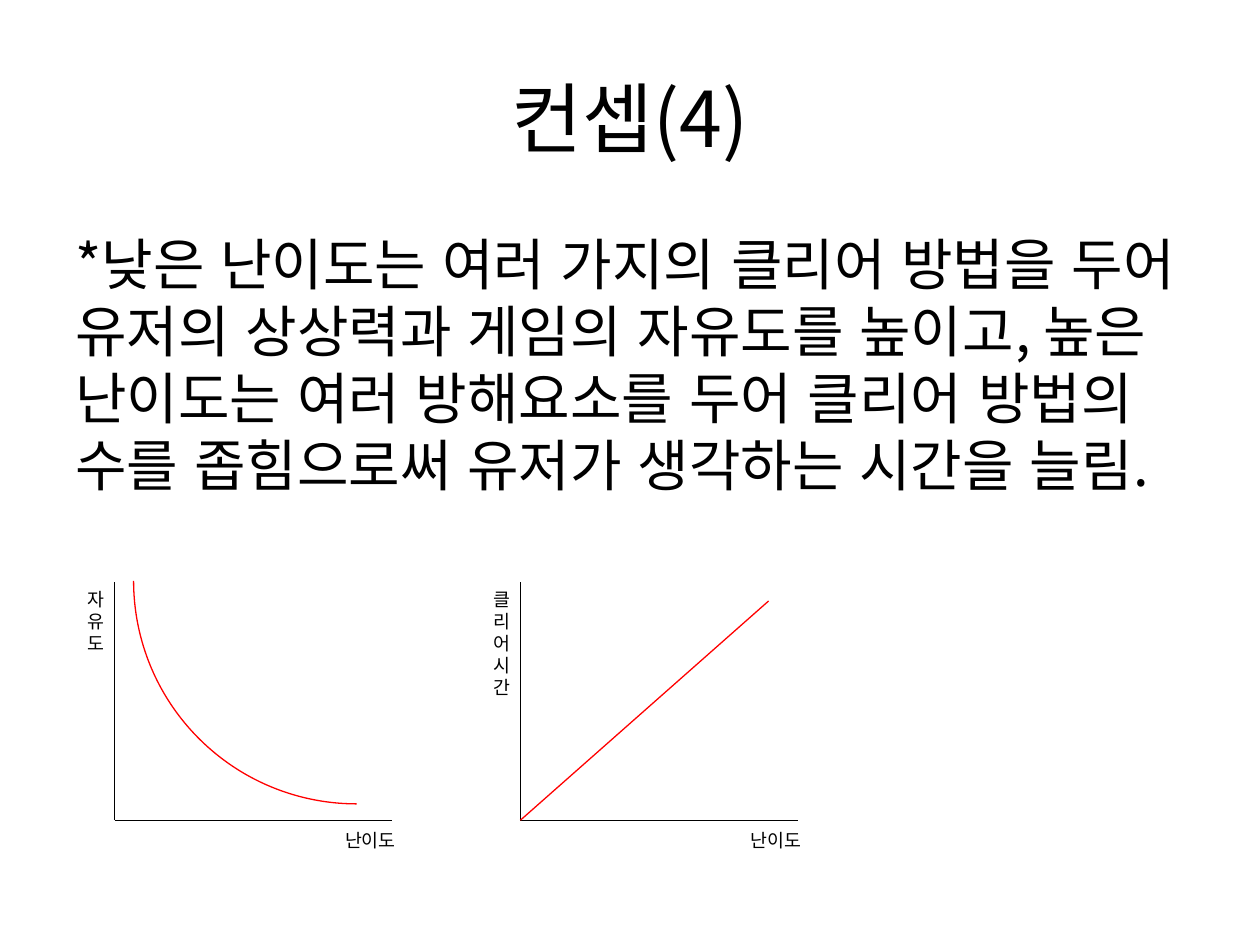
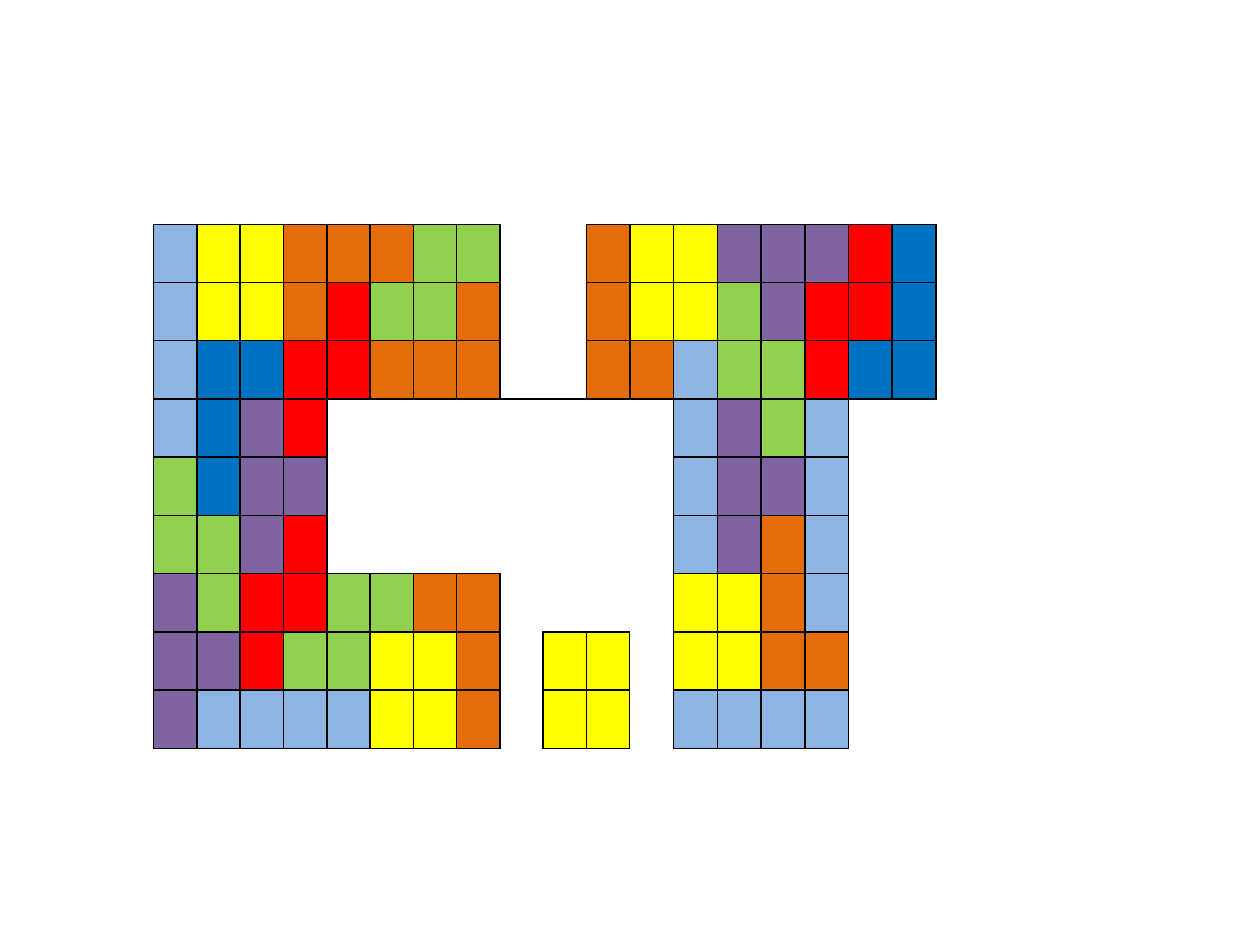
from lxml.etree import SubElement
from pptx import Presentation
from pptx.dml.color import RGBColor
from pptx.enum.lang import MSO_LANGUAGE_ID as LANG
from pptx.enum.shapes import MSO_CONNECTOR, MSO_SHAPE
from pptx.enum.text import MSO_ANCHOR, PP_ALIGN
from pptx.oxml import parse_xml
from pptx.oxml.ns import nsdecls, qn
from pptx.util import Inches, Pt

FONT = "Noto Sans CJK KR"
BLACK, RED, WHITE = "000000", "FF0000", "FFFFFF"
COLS, ROWS = 100, 75  # slide grid
BLOCKS = {"S": "8EB4E3", "Y": "FFFF00", "O": "E46C0A", "G": "92D050",
          "R": RED, "B": "0070C0", "P": "8064A2", ".": WHITE}


def rgb(value):
    return RGBColor.from_string(value)


class Deck:
    """Holds the style and the current slide; lengths are grid units."""

    def __init__(self):
        self.prs = Presentation()
        self.prs.slide_width, self.prs.slide_height = Inches(10), Inches(7.5)
        self.slide = None

    def new_slide(self):
        self.slide = self.prs.slides.add_slide(self.prs.slide_layouts[6])

    def place(self, x, y, w, h):
        dx, dy = self.prs.slide_width / COLS, self.prs.slide_height / ROWS
        return int(x * dx), int(y * dy), int(w * dx), int(h * dy)

    def text(self, box, words, size, align=PP_ALIGN.LEFT,
             anchor=MSO_ANCHOR.TOP, spacing=None):
        tf = self.slide.shapes.add_textbox(*self.place(*box)).text_frame
        tf.word_wrap, tf.vertical_anchor = True, anchor
        p = tf.paragraphs[0]
        p.alignment, p.line_spacing = align, spacing
        p.font.size, p.font.name = Pt(size), FONT
        p.font.color.rgb = rgb(BLACK)
        # Hangul takes the East Asian typeface
        SubElement(p._p.pPr.find(qn("a:defRPr")), qn("a:ea"), typeface=FONT)
        r = p.add_run()
        r.text, r.font.language_id = words, LANG.KOREAN

    def line(self, x1, y1, x2, y2, color=BLACK):
        ends = self.place(x1, y1, x2, y2)
        sp = self.slide.shapes.add_connector(MSO_CONNECTOR.STRAIGHT, *ends)
        sp.line.color.rgb, sp.line.width = rgb(color), Pt(0.75)
        SubElement(sp._element.spPr, qn("a:effectLst"))

    def arc(self, box, color, rotation):
        sp = self.slide.shapes.add_shape(MSO_SHAPE.ARC, *self.place(*box))
        sp.rotation, sp.shadow.inherit = rotation, False
        sp.fill.background()
        sp.line.color.rgb, sp.line.width = rgb(color), Pt(0.75)

    def axes(self, x, y_label, label_height):
        top, base = 46.2, 65.1
        self.line(x, top, x, base)
        self.line(x, base, x + 22, base)
        self.text((x + 17.3, base + 0.2, 8.7, 2.9), "난이도", 10.5)
        self.text((x - 3.15, top, 3.1, label_height), y_label, 10.5)

    def borders(self, cell, sides):
        """Draw the named sides of a cell and clear the others."""
        tcPr = cell._tc.get_or_add_tcPr()
        for i, side in enumerate("LRTB"):
            paint = (f'<a:solidFill><a:srgbClr val="{BLACK}"/></a:solidFill>'
                     if side in sides else "<a:noFill/>")
            tcPr.insert(i, parse_xml(
                f'<a:ln{side} {nsdecls("a")} w="12700">{paint}</a:ln{side}>'))

    def mosaic(self, box, pattern, merges, seam=()):
        """Table of colour letters; merges are (row, col, rows, cols)."""
        rows = pattern.split()
        n, m = len(rows), len(rows[0])
        x, y, w, h = self.place(*box)
        table = self.slide.shapes.add_table(n, m, x, y, w, h).table
        table.first_row = table.horz_banding = False

        def filled(r, c):
            return 0 <= r < n and 0 <= c < m and rows[r][c] != "."

        for r in range(n):
            table.rows[r].height = h // n
            for c in range(m):
                table.columns[c].width = w // m
                cell = table.cell(r, c)
                cell.fill.solid()
                cell.fill.fore_color.rgb = rgb(BLOCKS[rows[r][c]])
                near = {"L": (r, c - 1), "R": (r, c + 1),
                        "T": (r - 1, c), "B": (r + 1, c)}
                sides = [s for s, at in near.items()
                         if filled(r, c) or filled(*at)]
                if (r, c) in seam:
                    sides.append("T")
                self.borders(cell, sides)
        for r, c, tall, wide in merges:
            table.cell(r, c).merge(table.cell(r + tall - 1, c + wide - 1))


LEFT_BLOCKS = """
SYYOOOGG..O
SYYORGGO..O
SBBRROOO..O
SBPR.......
GBPP.......
GGPR.......
PGRRGGOO...
PPRGGYYO.YY
PSSSSYYO.YY
"""
RIGHT_BLOCKS = """
YYPPPRB
YYGPRRB
OSGGRBB
.SPGS..
.SPPS..
.SPOS..
.YYOS..
.YYOO..
.SSSS..
"""


def main():
    deck = Deck()

    # Concept: text and two graphs
    deck.new_slide()
    deck.text((5, 3, 90, 12.5), "컨셉(4)", 44, PP_ALIGN.CENTER,
              MSO_ANCHOR.MIDDLE)
    deck.text((5, 17.7, 90, 49.5),
              "*낮은 난이도는 여러 가지의 클리어 방법을 두어 유저의 상상력과 "
              "게임의 자유도를 높이고, 높은 난이도는 여러 방해요소를 두어 "
              "클리어 방법의 수를 좁힘으로써 유저가 생각하는 시간을 늘림.",
              32, spacing=Pt(38.3))
    deck.axes(9.1, "자유도", 6.3)
    deck.arc((10.6, 28.4, 35.4, 35.4), RED, 180)
    deck.axes(41.3, "클리어시간", 9.8)
    deck.line(41.3, 65.1, 61, 47.7, RED)

    # Block lettering: two tables side by side
    deck.new_slide()
    deck.mosaic((12.2, 17.8, 37.8, 41.6), LEFT_BLOCKS,
                [(0, 8, 3, 2), (3, 4, 3, 7), (6, 8, 3, 1), (6, 9, 1, 2)],
                seam={(3, 8), (3, 9)})
    deck.mosaic((50, 17.8, 24.3, 41.6), RIGHT_BLOCKS, [(3, 0, 6, 1)])

    deck.prs.save("out.pptx")


if __name__ == "__main__":
    main()
